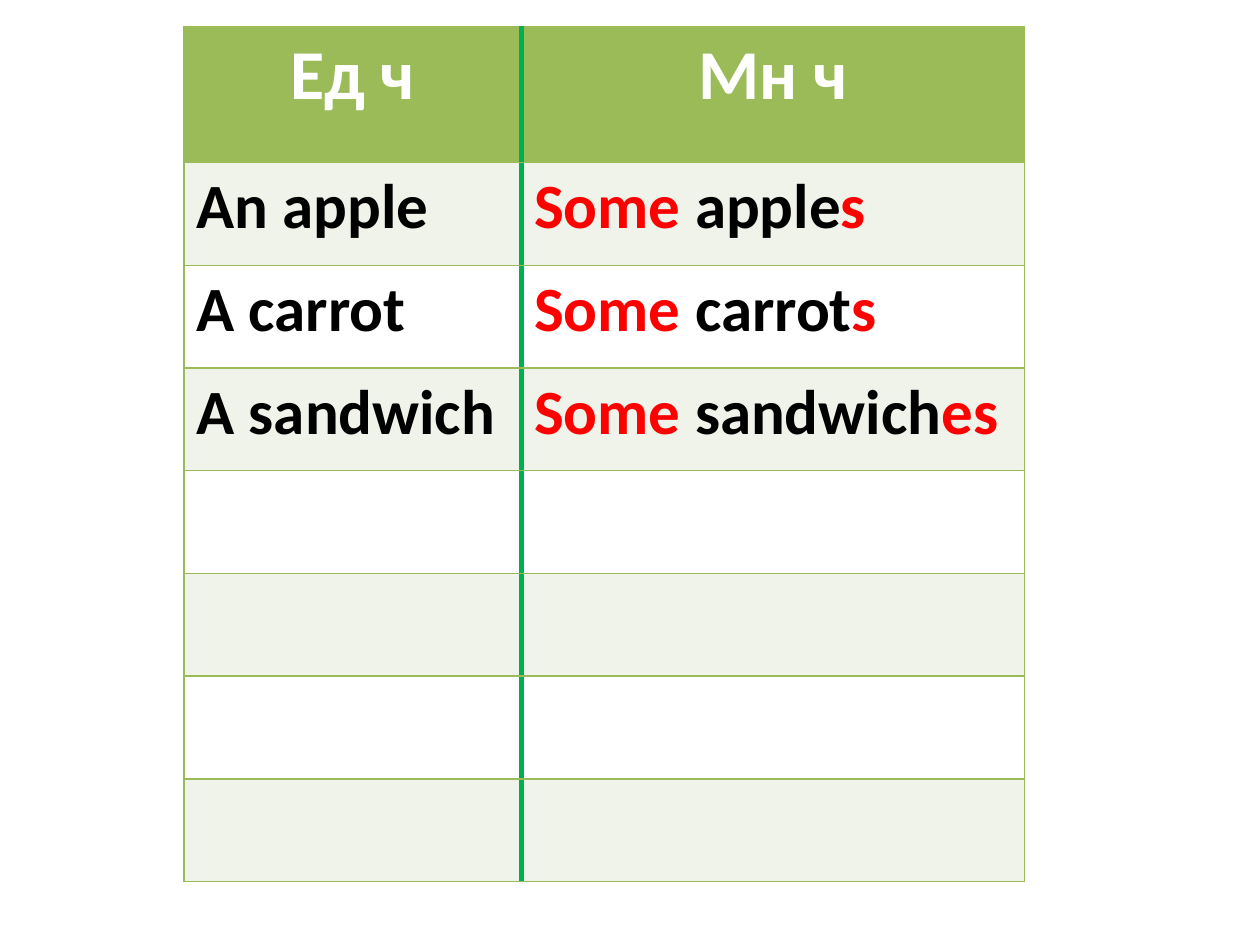
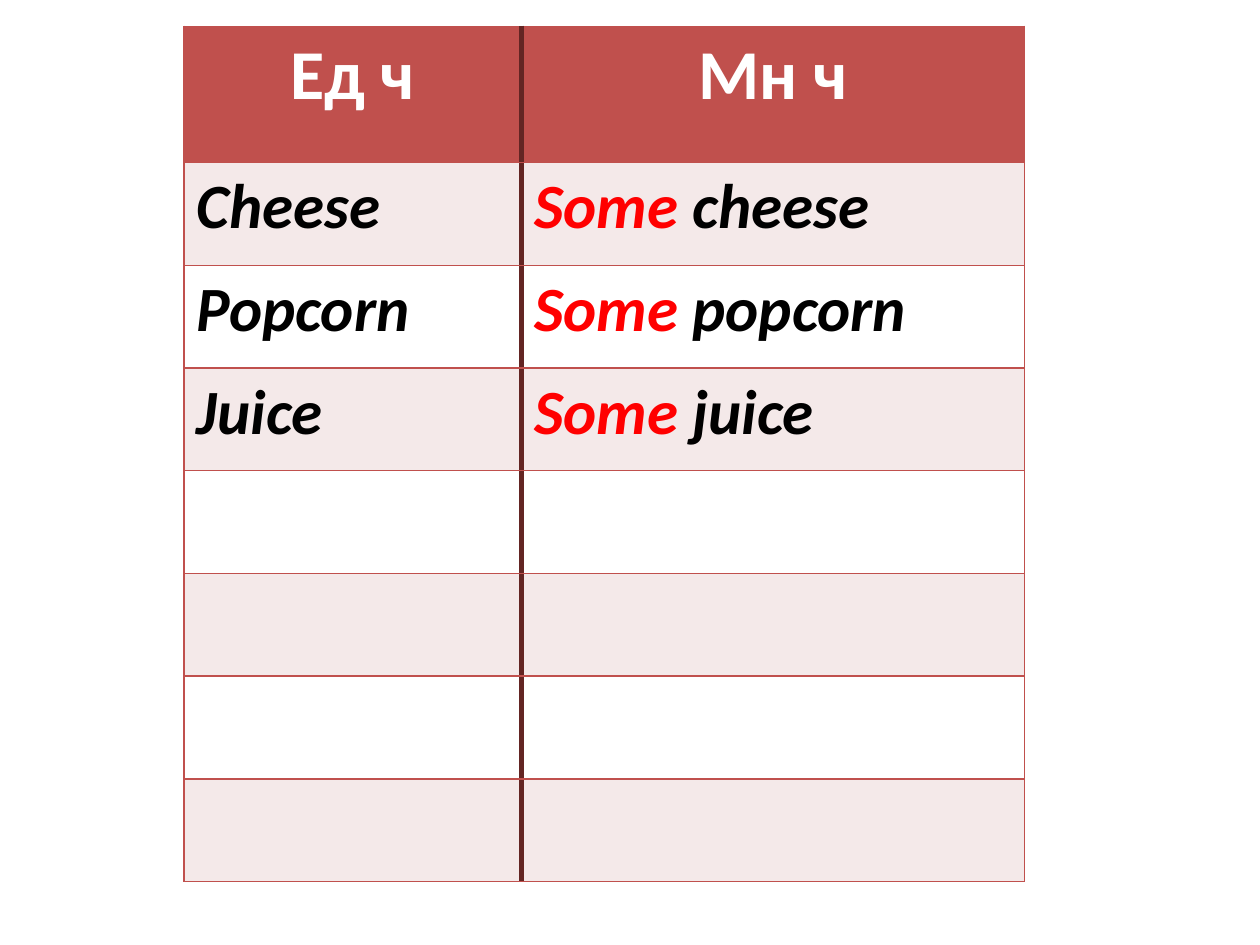
from pptx import Presentation
from pptx.dml.color import RGBColor
from pptx.enum.text import PP_ALIGN
from pptx.oxml import parse_xml
from pptx.oxml.ns import nsdecls
from pptx.util import Inches, Pt

# Shared look
FONT = "Calibri"
WHITE, BLACK, RED = "FFFFFF", "000000", "FF0000"
HEADINGS = ("Ед ч", "Мн ч")
LEFT, TOP = 1.46, 0.21
COLUMN_WIDTHS = (2.68, 3.99)
TABLE_HEIGHT, HEADER_HEIGHT = 6.79, 1.08
BODY_ROWS = 7

# Each noun: singular, plural stem, plural ending
COUNTABLE = [
    ("An apple", "apple", "s"),
    ("A carrot", "carrot", "s"),
    ("A sandwich", "sandwich", "es"),
]
UNCOUNTABLE = [
    ("Cheese", "cheese", ""),
    ("Popcorn ", "popcorn", ""),
    ("Juice ", "juice", ""),
]


def rgb(value):
    return RGBColor.from_string(value)


def add_run(paragraph, text, size, color, italic=False):
    run = paragraph.add_run()
    run.text = text
    font = run.font
    font.name, font.size, font.bold = FONT, Pt(size), True
    if italic:
        font.italic = True
    font.color.rgb = rgb(color)


def set_borders(cell, sides):
    """Draw the left, right, top and bottom (color, points) borders."""
    properties = cell._tc.get_or_add_tcPr()
    for index, (side, (color, points)) in enumerate(zip("LRTB", sides)):
        properties.insert(index, parse_xml(
            f'<a:ln{side} {nsdecls("a")} w="{Pt(points)}">'
            f'<a:solidFill><a:srgbClr val="{color}"/></a:solidFill>'
            f'<a:prstDash val="solid"/></a:ln{side}>'))


def add_grid(slide, accent, band, divider):
    """Add the empty two-column table with its fills and borders."""
    table = slide.shapes.add_table(
        BODY_ROWS + 1, len(COLUMN_WIDTHS), Inches(LEFT), Inches(TOP),
        Inches(sum(COLUMN_WIDTHS)), Inches(TABLE_HEIGHT)).table
    table.first_row = table.horz_banding = False
    for column, width in zip(table.columns, COLUMN_WIDTHS):
        column.width = Inches(width)

    body_height = (TABLE_HEIGHT - HEADER_HEIGHT) / BODY_ROWS
    thin, thick = (accent, 1), (divider, 3)
    for number, row in enumerate(table.rows):
        row.height = Inches(body_height if number else HEADER_HEIGHT)
        fill = accent if number == 0 else band if number % 2 else WHITE
        for cell in row.cells:
            cell.fill.solid()
            cell.fill.fore_color.rgb = rgb(fill)
        singular, plural = row.cells
        set_borders(singular, (thin, thick, thin, thin))
        set_borders(plural, (thick, thin, thin, thin))
    return table


def add_noun_slide(deck, nouns, accent, band, divider, italic=False):
    slide = deck.slides.add_slide(deck.slide_layouts[6])
    table = add_grid(slide, accent, band, divider)

    # Headings
    for column, heading in enumerate(HEADINGS):
        paragraph = table.cell(0, column).text_frame.paragraphs[0]
        paragraph.alignment = PP_ALIGN.CENTER
        add_run(paragraph, heading, 40, WHITE)

    # Nouns, with the plural markers in red
    for row, (singular, stem, ending) in enumerate(nouns, start=1):
        left, right = (table.cell(row, column).text_frame.paragraphs[0]
                       for column in range(2))
        add_run(left, singular, 36, BLACK, italic)
        add_run(right, "Some", 36, RED, italic)
        add_run(right, f" {stem}", 36, BLACK, italic)
        if ending:
            add_run(right, ending, 36, RED, italic)


def main():
    deck = Presentation()
    deck.slide_width, deck.slide_height = Inches(10), Inches(7.5)
    add_noun_slide(deck, COUNTABLE, "9BBB59", "EFF3EA", "00B050")
    add_noun_slide(deck, UNCOUNTABLE, "C0504D", "F4E9E9", "632523", italic=True)
    deck.save("out.pptx")


main()
